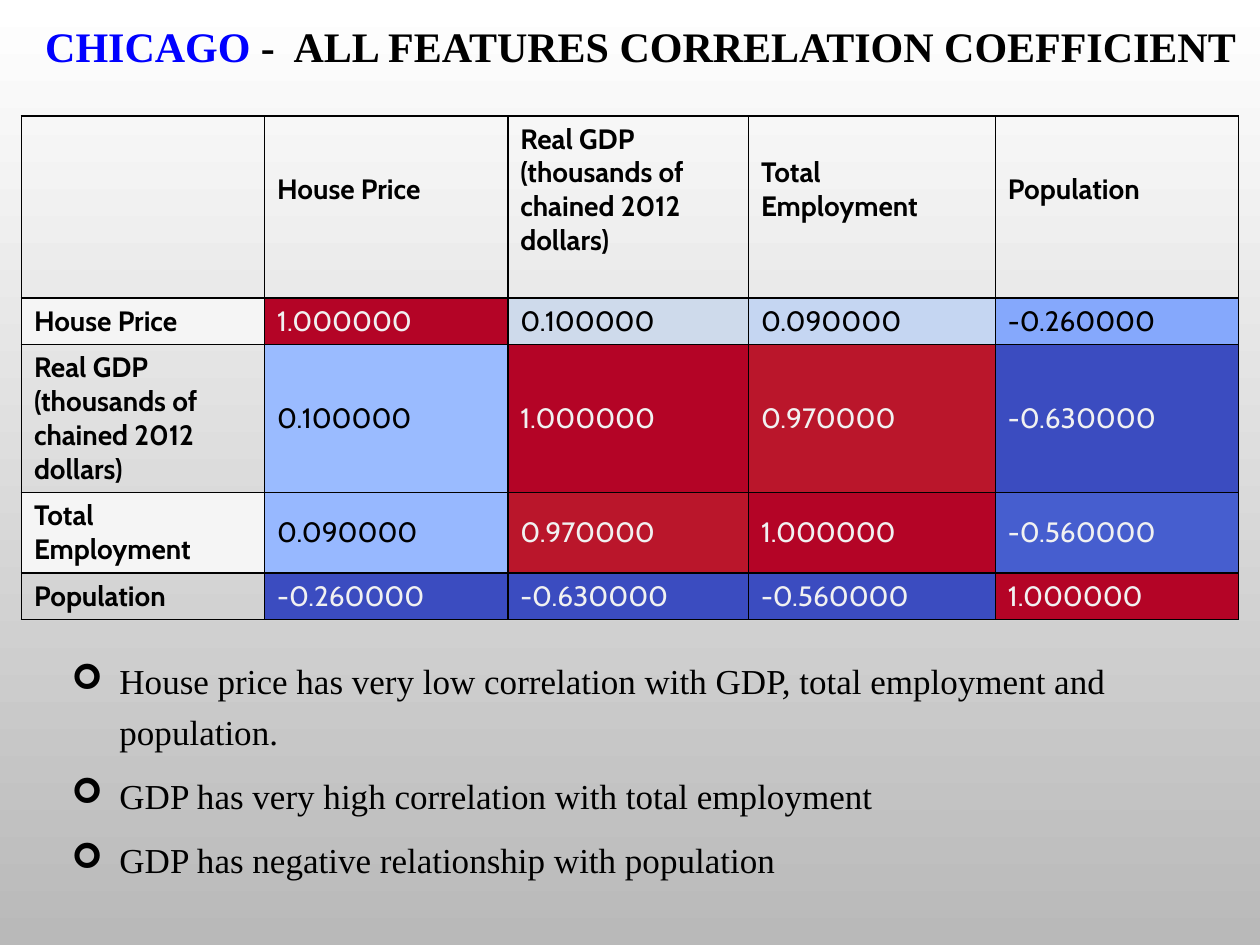
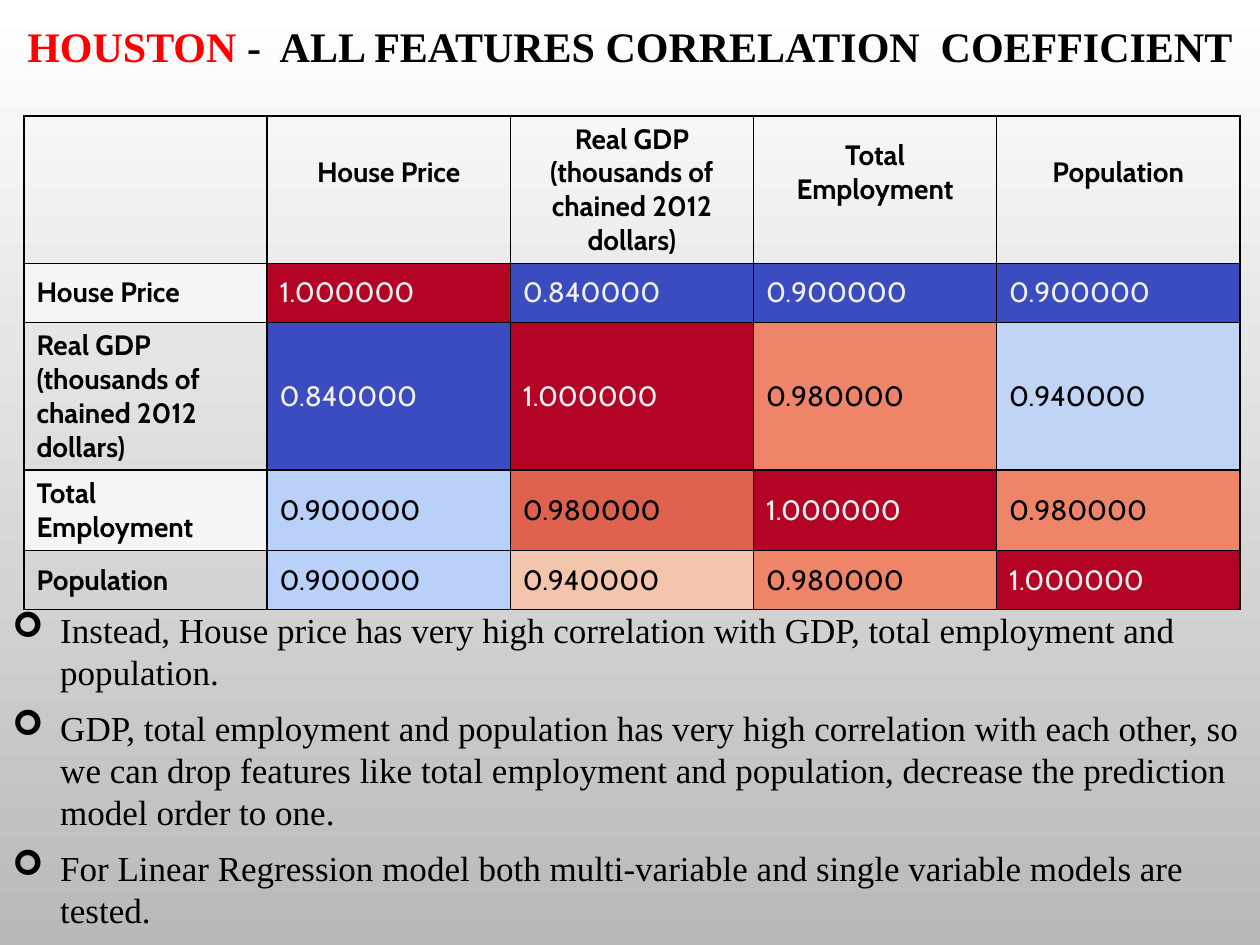
from dataclasses import dataclass

from lxml.etree import SubElement
from pptx import Presentation
from pptx.dml.color import RGBColor
from pptx.enum.text import MSO_ANCHOR, PP_ALIGN
from pptx.oxml.ns import qn
from pptx.util import Inches, Pt


@dataclass(frozen=True)
class Theme:
    black: str = "000000"
    pale: str = "F1F1F1"
    label_fill: str = "F5F5F5"
    top: str = "FFFFFF"
    bottom: str = "B9B9B9"
    serif: str = "Times New Roman"
    sans: str = "Cabin"
    title_size: int = 24
    body_size: int = 20
    cell_size: int = 16
    dark_limit: int = 110


THEME = Theme()
FEATURES = [
    "House Price",
    "Real GDP (thousands of chained 2012 dollars)",
    "Total Employment",
    "Population",
]
TITLE_BOX = (0, 0.16, 10, 0.34)
CELL_MARGIN = 0.05
LINE_GAP = 0.32

CHICAGO = {
    "city": "CHICAGO",
    "city_color": "0000FF",
    "title_rest": " -  ALL FEATURES CORRELATION COEFFICIENT",
    "title_indent": 0.17,
    "table_box": (0.17, 0.92, 9.66, 3.99),
    "columns": [1.93, 1.93, 1.91, 1.96, 1.93],
    "rows": [1.44, 0.37, 1.17, 0.64, 0.37],
    "header_align": PP_ALIGN.LEFT,
    "header_gaps": [LINE_GAP] * 4,
    "values": [
        [1, 0.1, 0.09, -0.26],
        [0.1, 1, 0.97, -0.63],
        [0.09, 0.97, 1, -0.56],
        [-0.26, -0.63, -0.56, 1],
    ],
    "fills": [
        ["B40426", "CEDAEB", "C5D6F2", "85A8FC"],
        ["9ABBFF", "B40426", "BA162B", "3B4CC0"],
        ["97B8FF", "BA162B", "B40426", "465ECF"],
        ["3B4CC0", "3B4CC0", "3B4CC0", "B40426"],
    ],
    "findings_box": (0.47, 5.12, 9.06, 1.85),
    "line_spacing": 1.2,
    "findings": [
        "House price has very low correlation with GDP, total employment and population.",
        "GDP has very high correlation with total employment",
        "GDP has negative relationship with population",
    ],
}

HOUSTON = {
    "city": "HOUSTON",
    "city_color": "FF0000",
    "title_rest": " -  ALL FEATURES CORRELATION  COEFFICIENT",
    "title_indent": 0,
    "table_box": (0.19, 0.92, 9.65, 3.92),
    "columns": [1.93] * 5,
    "rows": [1.17, 0.47, 1.17, 0.64, 0.47],
    "header_align": PP_ALIGN.CENTER,
    "header_gaps": [LINE_GAP, CELL_MARGIN, LINE_GAP, LINE_GAP],
    "values": [
        [1, 0.84, 0.9, 0.9],
        [0.84, 1, 0.98, 0.94],
        [0.9, 0.98, 1, 0.98],
        [0.9, 0.94, 0.98, 1],
    ],
    "fills": [
        ["B40426", "3B4CC0", "3B4CC0", "3B4CC0"],
        ["3B4CC0", "B40426", "EE8468", "C0D4F5"],
        ["B9D0F9", "DE614D", "B40426", "EE8468"],
        ["B9D0F9", "F4C5AD", "EE8468", "B40426"],
    ],
    "findings_box": (0, 4.78, 10, 2.72),
    "line_spacing": 1.0,
    "findings": [
        "Instead, House price has very high correlation with GDP, total employment and population.",
        "GDP, total employment and population has very high correlation with each other, "
        "so we can drop features like total employment and population, decrease the "
        "prediction model order to one.",
        "For Linear Regression model both multi-variable and single variable models are tested.",
    ],
}


def style_span(span, size, font, color, bold=False):
    span.font.size = Pt(size)
    span.font.name = font
    span.font.bold = bold
    span.font.color.rgb = RGBColor.from_string(color)


def add_text_frame(slide, box):
    frame = slide.shapes.add_textbox(*map(Inches, box)).text_frame
    frame.word_wrap = True
    return frame


def paint_background(slide):
    fill = slide.background.fill
    fill.gradient()
    fill.gradient_angle = 270
    for stop, position, color in zip(fill.gradient_stops, (0, 1), (THEME.top, THEME.bottom)):
        stop.position = position
        stop.color.rgb = RGBColor.from_string(color)


def add_title(slide, box, city):
    frame = add_text_frame(slide, box)
    frame.margin_left = Inches(city["title_indent"])
    frame.margin_right = frame.margin_top = frame.margin_bottom = 0
    para = frame.paragraphs[0]
    para.alignment = PP_ALIGN.CENTER
    for text, color in ((city["city"], city["city_color"]), (city["title_rest"], THEME.black)):
        span = para.add_run()
        span.text = text
        style_span(span, THEME.title_size, THEME.serif, color, True)


def outline_cell(cell):
    properties = cell._tc.get_or_add_tcPr()
    for position, side in enumerate(("a:lnL", "a:lnR", "a:lnT", "a:lnB")):
        line = SubElement(properties, qn(side), w=str(Pt(1)))
        properties.insert(position, line)
        color = SubElement(SubElement(line, qn("a:solidFill")), qn("a:srgbClr"))
        color.set("val", THEME.black)


def fill_cell(cell, text="", fill=None, color=THEME.black, bold=True):
    cell.text_frame.text = text
    cell.vertical_anchor = MSO_ANCHOR.MIDDLE
    for span in cell.text_frame.paragraphs[0].runs:
        style_span(span, THEME.cell_size, THEME.sans, color, bold)
    if fill:
        cell.fill.solid()
        cell.fill.fore_color.rgb = RGBColor.from_string(fill)
    else:
        cell.fill.background()
    outline_cell(cell)


def contrast_color(fill):
    red, green, blue = RGBColor.from_string(fill)
    brightness = 0.21 * red + 0.72 * green + 0.07 * blue
    return THEME.pale if brightness < THEME.dark_limit else THEME.black


def add_correlation_table(slide, box, city):
    side = len(FEATURES) + 1
    table = slide.shapes.add_table(side, side, *map(Inches, box)).table
    table.first_row = table.horz_banding = False
    for column, width in zip(table.columns, city["columns"]):
        column.width = Inches(width)
    for row, height in zip(table.rows, city["rows"]):
        row.height = Inches(height)
    fill_cell(table.cell(0, 0))
    for index, feature in enumerate(FEATURES, 1):
        header = table.cell(0, index)
        fill_cell(header, feature)
        header.text_frame.paragraphs[0].alignment = city["header_align"]
        header.margin_bottom = Inches(city["header_gaps"][index - 1])
        fill_cell(table.cell(index, 0), feature, THEME.label_fill if index % 2 else None)
        pairs = zip(city["values"][index - 1], city["fills"][index - 1])
        for column, (value, fill) in enumerate(pairs, 1):
            fill_cell(table.cell(index, column), f"{value:.6f}", fill, contrast_color(fill), False)


def add_findings(slide, box, city):
    frame = add_text_frame(slide, box)
    frame.text = "\n".join(city["findings"])
    for para in frame.paragraphs:
        para.line_spacing = city["line_spacing"]
        para.space_after = Pt(8)
        properties = para._p.get_or_add_pPr()
        properties.set("marL", str(Inches(0.38)))
        properties.set("indent", str(-Inches(0.38)))
        SubElement(properties, qn("a:buFont"), typeface="Wingdings")
        SubElement(properties, qn("a:buChar"), char="➢")
        style_span(para.runs[0], THEME.body_size, THEME.serif, THEME.black)


def add_city_slide(deck, city):
    slide = deck.slides.add_slide(deck.slide_layouts[6])
    paint_background(slide)
    add_correlation_table(slide, city["table_box"], city)
    add_title(slide, TITLE_BOX, city)
    add_findings(slide, city["findings_box"], city)


def main():
    deck = Presentation()
    deck.slide_width = Inches(10)
    deck.slide_height = Inches(7.5)
    for city in (CHICAGO, HOUSTON):
        add_city_slide(deck, city)
    deck.save("out.pptx")


if __name__ == "__main__":
    main()
